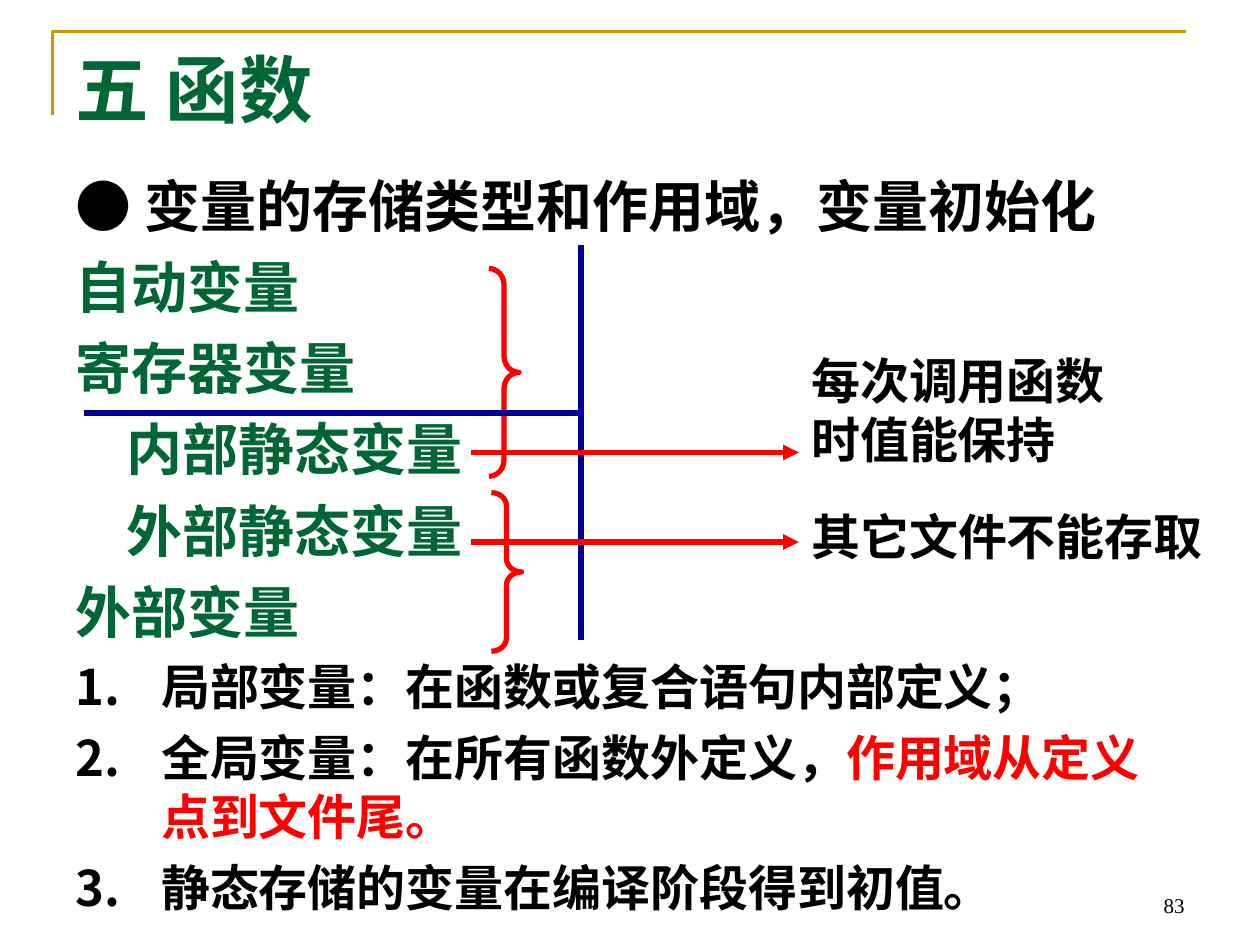
from lxml import etree
from pptx import Presentation
from pptx.dml.color import RGBColor
from pptx.enum import shapes, text
from pptx.oxml import ns
from pptx.util import Pt

THEME = {
    "green": RGBColor(0x00, 0x66, 0x33),
    "black": RGBColor(0x00, 0x00, 0x00),
    "red": RGBColor(0xFF, 0x00, 0x00),
    "blue": RGBColor(0x00, 0x00, 0x99),
    "gold": RGBColor(0xCC, 0x99, 0x00),
    "title": Pt(42), "heading": Pt(32), "detail": Pt(28), "number": Pt(12),
}


def add_text(frame, paragraphs):
    """Fill a frame; each paragraph is (runs, run format, paragraph format)."""
    frame.word_wrap = True
    for index, (runs, run_format, layout) in enumerate(paragraphs):
        paragraph = frame.paragraphs[0] if index == 0 else frame.add_paragraph()
        properties = paragraph._p.get_or_add_pPr()
        for name in ("marL", "indent"):
            if name in layout:
                properties.set(name, str(Pt(layout[name])))
        if layout.get("numbered"):
            etree.SubElement(properties, ns.qn("a:buAutoNum"), type="arabicPeriod")
        if index and "space" in layout:
            paragraph.space_before = Pt(layout["space"])
        paragraph.alignment = layout.get("align", text.PP_ALIGN.LEFT)
        for words, color in runs:
            run = paragraph.add_run()
            run.text = words
            for name, value in run_format.items():
                setattr(run.font, name, value)
            run.font.color.rgb = THEME[color]


def add_line(start, end, color, arrow=False):
    line = slide.shapes.add_connector(
        shapes.MSO_CONNECTOR.STRAIGHT, *(Pt(v) for v in (*start, *end)))
    line.line.color.rgb = THEME[color]
    line.line.width = Pt(3)
    if arrow:
        etree.SubElement(line.line._get_or_add_ln(), ns.qn("a:tailEnd"), type="triangle")
    etree.SubElement(line._element.spPr, ns.qn("a:effectLst"))


prs = Presentation()
prs.slide_width, prs.slide_height = Pt(720), Pt(540)
slide = prs.slides.add_slide(prs.slide_layouts[6])

title_font = {"name": "Arial", "size": THEME["title"], "bold": True}
heading_font = {"name": "Arial", "size": THEME["heading"], "bold": True}
detail_font = {"name": "Arial", "size": THEME["detail"], "bold": True}
number_font = {"name": "Times New Roman", "size": THEME["number"]}

# Title and body
title = slide.shapes.add_textbox(Pt(36), Pt(21.6), Pt(648), Pt(61.2))
add_text(title.text_frame, [([("五 函数", "green")], title_font, {})])

hanging = {"marL": 49, "indent": -49, "space": 8}
nested = {"marL": 29, "indent": 0, "space": 8}
numbered = {"marL": 49, "indent": -49, "space": 7, "numbered": True}

body_paragraphs = [
    ([("● 变量的存储类型和作用域，变量初始化", "black")], heading_font, hanging)]
for variable, layout in [
    ("自动变量", hanging),
    ("寄存器变量", hanging),
    ("内部静态变量", nested),
    ("外部静态变量", nested),
    ("外部变量", hanging),
]:
    body_paragraphs.append(([(variable, "green")], heading_font, layout))
for rule in [
    [("局部变量：在函数或复合语句内部定义；", "black")],
    [("全局变量：在所有函数外定义，", "black"), ("作用域从定义点到文件尾。", "red")],
    [("静态存储的变量在编译阶段得到初值。", "black")],
]:
    body_paragraphs.append((rule, detail_font, numbered))

body = slide.shapes.add_textbox(Pt(36), Pt(94.3), Pt(648), Pt(430.6))
add_text(body.text_frame, body_paragraphs)

# Braces grouping local and global variables
for left, top, height, curve in [(279.4, 153.4, 118.8, 0.54), (280.8, 281.5, 90.7, 0.44)]:
    brace = slide.shapes.add_shape(
        shapes.MSO_SHAPE.RIGHT_BRACE, Pt(left), Pt(top), Pt(17.2), Pt(height))
    brace.shadow.inherit = False
    brace.fill.background()
    brace.line.color.rgb = THEME["red"]
    brace.line.width = Pt(3)
    brace.adjustments[0] = curve

# Corner frame and the divider between storage classes
for points, color, width in [
    ([(30, 66), (30, 18), (678, 18)], "gold", 1.5),
    ([(48, 236), (332, 236), (332, 366)], "blue", 3),
]:
    builder = slide.shapes.build_freeform(*points[0], scale=Pt(1))
    builder.add_line_segments(points[1:], close=False)
    outline = builder.convert_to_shape()
    outline.shadow.inherit = False
    outline.fill.background()
    outline.line.color.rgb = THEME[color]
    outline.line.width = Pt(width)
add_line((332, 236), (332, 140), "blue")

# Arrows from the static variables to their remarks
for arrow_y, remark, top, width, height in [
    (258.6, "每次调用函数时值能保持", 196.6, 198.7, 74.9),
    (309.7, "其它文件不能存取", 285.8, 244.1, 41),
]:
    add_line((269.3, arrow_y), (456.5, arrow_y), "red", arrow=True)
    remark_box = slide.shapes.add_textbox(Pt(456.5), Pt(top), Pt(width), Pt(height))
    add_text(remark_box.text_frame, [([(remark, "black")], detail_font, {})])

# Slide number
number = slide.shapes.add_textbox(Pt(516), Pt(492), Pt(168), Pt(36))
number.text_frame.vertical_anchor = text.MSO_ANCHOR.BOTTOM
add_text(number.text_frame,
         [([("83", "black")], number_font, {"align": text.PP_ALIGN.RIGHT})])

prs.save("out.pptx")
